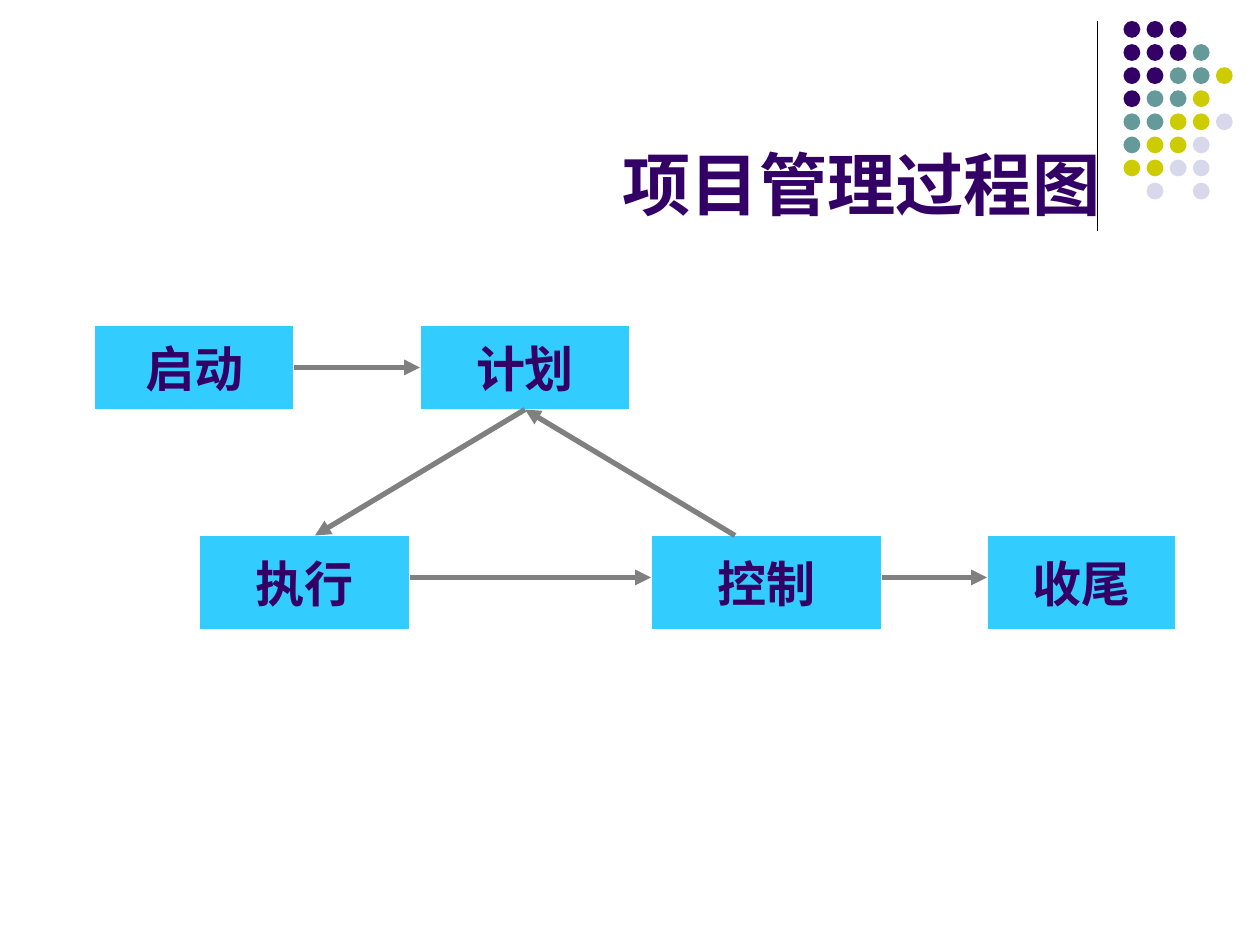
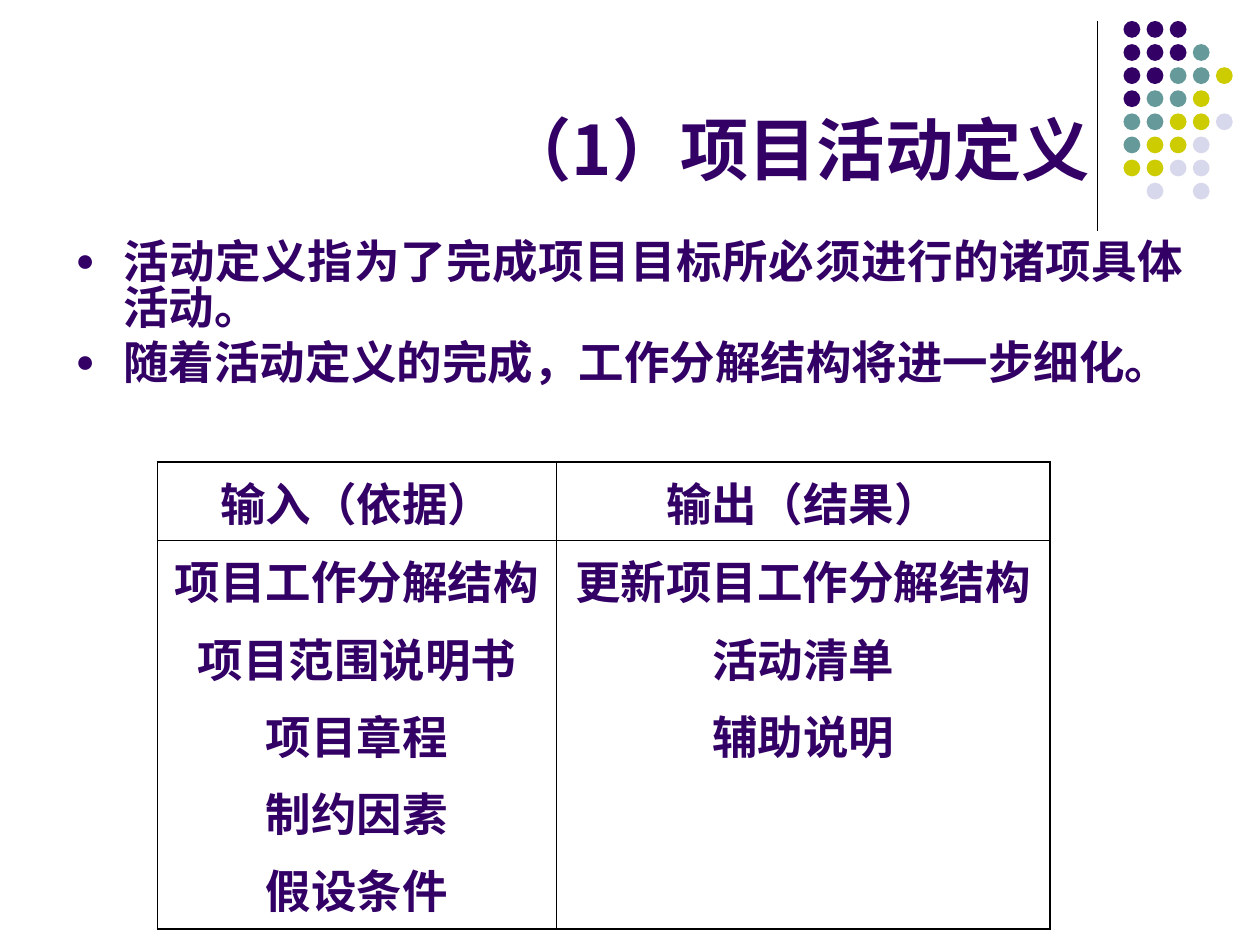
from dataclasses import dataclass
from typing import Any, Optional

from lxml.etree import SubElement
from pptx import Presentation
from pptx.dml.color import RGBColor
from pptx.enum.shapes import MSO_CONNECTOR, MSO_SHAPE
from pptx.enum.text import MSO_ANCHOR, MSO_AUTO_SIZE, PP_ALIGN
from pptx.oxml import parse_xml
from pptx.oxml.ns import nsdecls, qn
from pptx.util import Inches, Pt

COLS, ROWS = 120, 90
WIDE, HIGH = Inches(10), Inches(7.5)
INK, CYAN, GREY, BLACK, WHITE = "330066", "33CCFF", "808080", "000000", "FFFFFF"
TINTS = {"P": INK, "T": "669999", "Y": "CCCC00", "L": "D8D8EC"}
DOTS = ("PPP", "PPPT", "PPTTY", "PTTY", "TTYYL", "TYYL", "YYLL", " L L")
DOT_SIZE, DOT_STEP = 1.6, 2.2


@dataclass(frozen=True)
class Area:
    col: float
    row: float
    wide: float
    high: float

    def place(self) -> tuple[int, int, int, int]:
        return across(self.col), down(self.row), across(self.wide), down(self.high)


@dataclass(frozen=True)
class Step:
    text: str
    area: Area


@dataclass(frozen=True)
class Link:
    start: tuple[float, float]
    end: tuple[float, float]
    source: Optional[tuple[str, int]] = None
    target: Optional[tuple[str, int]] = None


STEPS = (
    Step("启动", Area(9, 31, 19, 8)),
    Step("计划", Area(40, 31, 20, 8)),
    Step("执行", Area(19, 51, 20, 9)),
    Step("控制", Area(62, 51, 22, 9)),
    Step("收尾", Area(94, 51, 18, 9)),
)
LINKS = (
    Link((28, 35), (40, 35), ("启动", 3), ("计划", 1)),
    Link((50, 39), (30, 51), ("计划", 2)),
    Link((39, 55), (62, 55)),
    Link((70, 51), (50, 39), None, ("计划", 2)),
    Link((84, 55), (94, 55)),
)
POINTS = (
    "活动定义指为了完成项目目标所必须进行的诸项具体活动。",
    "随着活动定义的完成，工作分解结构将进一步细化。",
)
CELLS = (
    (("输入（依据）",), ("输出（结果）",)),
    (
        ("项目工作分解结构", "项目范围说明书", "项目章程", "制约因素", "假设条件"),
        ("更新项目工作分解结构", "活动清单", "辅助说明"),
    ),
)
SPANS, TIERS = (38, 47), (7.4, 37)


def across(cols: float) -> int:
    return round(WIDE * cols / COLS)


def down(rows: float) -> int:
    return round(HIGH * rows / ROWS)


def paint(code: str) -> RGBColor:
    return RGBColor.from_string(code)


def apply(thing: Any, form: dict[str, Any]) -> None:
    for name, value in form.items():
        setattr(thing, name, value)


def write(frame: Any, lines: tuple[str, ...], size: float, align: Any,
          gap: float = 0, face: str = "Arial", mark: bool = False,
          lead: Optional[float] = None) -> None:
    for place, text in enumerate(lines):
        para = frame.paragraphs[0] if place == 0 else frame.add_paragraph()
        if mark:
            add_mark(para)
        apply(para, {"text": text, "alignment": align, "line_spacing": lead,
                     "space_before": Pt(gap if place else 0)})
        for run in para.runs:
            apply(run.font, {"name": face, "size": Pt(size), "bold": True})
            run.font.color.rgb = paint(INK)


def add_mark(para: Any) -> None:
    props = para._p.get_or_add_pPr()
    indent = str(Inches(0.38))
    props.set("marL", indent)
    props.set("indent", "-" + indent)
    tint = SubElement(props, qn("a:buClr"))
    SubElement(tint, qn("a:srgbClr"), val=INK)
    SubElement(props, qn("a:buSzPct"), val="70000")
    SubElement(props, qn("a:buFont"), typeface="Arial")
    SubElement(props, qn("a:buChar"), char="●")


def add_line(slide: Any, start: tuple[float, float], end: tuple[float, float],
             code: str, width: float) -> Any:
    line = slide.shapes.add_connector(
        MSO_CONNECTOR.STRAIGHT, across(start[0]), down(start[1]),
        across(end[0]), down(end[1]))
    line.line.color.rgb = paint(code)
    line.line.width = Pt(width)
    SubElement(line.element.spPr, qn("a:effectLst"))
    return line


def add_dots(slide: Any) -> None:
    group = slide.shapes.add_group_shape()
    for row, codes in enumerate(DOTS):
        for col, code in enumerate(codes):
            if code in TINTS:
                area = Area(107 + col * DOT_STEP, 2 + row * DOT_STEP,
                            DOT_SIZE, DOT_SIZE)
                dot = group.shapes.add_shape(MSO_SHAPE.OVAL, *area.place())
                dot.shadow.inherit = False
                dot.fill.solid()
                dot.fill.fore_color.rgb = paint(TINTS[code])
                dot.line.fill.background()


def fit(holder: Any, area: Area, anchor: Any) -> Any:
    apply(holder, dict(zip(("left", "top", "width", "height"), area.place())))
    apply(holder.text_frame, {"auto_size": MSO_AUTO_SIZE.NONE, "word_wrap": True,
                              "vertical_anchor": anchor})
    return holder.text_frame


def add_slide(deck: Any, kind: int, title: str, area: Area, face: str) -> Any:
    slide = deck.slides.add_slide(deck.slide_layouts[kind])
    add_line(slide, (104.5, 2), (104.5, 22), BLACK, 0.75)
    add_dots(slide)
    frame = fit(slide.shapes.title, area, MSO_ANCHOR.BOTTOM)
    write(frame, (title,), 39, PP_ALIGN.RIGHT, face=face)
    return slide


def add_step(slide: Any, step: Step) -> Any:
    box = slide.shapes.add_shape(MSO_SHAPE.RECTANGLE, *step.area.place())
    box.shadow.inherit = False
    box.fill.solid()
    box.fill.fore_color.rgb = paint(CYAN)
    box.line.color.rgb = paint(WHITE)
    box.line.width = Pt(0.75)
    apply(box.text_frame, {"word_wrap": False, "vertical_anchor": MSO_ANCHOR.MIDDLE})
    write(box.text_frame, (step.text,), 28, PP_ALIGN.CENTER)
    return box


def add_link(slide: Any, link: Link, boxes: dict[str, Any]) -> None:
    line = add_line(slide, link.start, link.end, GREY, 3)
    SubElement(line.element.spPr.get_or_add_ln(), qn("a:tailEnd"), type="triangle")
    if link.source:
        line.begin_connect(boxes[link.source[0]], link.source[1])
    if link.target:
        line.end_connect(boxes[link.target[0]], link.target[1])


def edge(cell: Any, widths: dict[str, float]) -> None:
    props = cell._tc.get_or_add_tcPr()
    for place, (side, width) in enumerate(widths.items()):
        props.insert(place, parse_xml(
            f'<a:ln{side} {nsdecls("a")} w="{Pt(width)}"><a:solidFill>'
            f'<a:srgbClr val="{BLACK}"/></a:solidFill></a:ln{side}>'))


def add_grid(slide: Any) -> None:
    area = Area(15, 44, sum(SPANS), sum(TIERS))
    grid = slide.shapes.add_table(len(TIERS), len(SPANS), *area.place()).table
    apply(grid, {"first_row": False, "horz_banding": False})
    for col, span in enumerate(SPANS):
        grid.columns[col].width = across(span)
    thick, thin = 1.08, 0.45
    for row, tier in enumerate(TIERS):
        grid.rows[row].height = down(tier)
        for col, lines in enumerate(CELLS[row]):
            cell = grid.cell(row, col)
            cell.fill.background()
            edge(cell, {
                "L": thick if col == 0 else thin,
                "R": thick if col == len(SPANS) - 1 else thin,
                "T": thick if row == 0 else thin,
                "B": thick if row == len(TIERS) - 1 else thin,
            })
            write(cell.text_frame, lines, 26, PP_ALIGN.CENTER, gap=6.5)


def draw_flow(deck: Any) -> None:
    slide = add_slide(deck, 5, "项目管理过程图", Area(7, 5, 99, 17), "Arial")
    boxes = {step.text: add_step(slide, step) for step in STEPS}
    for link in LINKS:
        add_link(slide, link, boxes)


def draw_tasks(deck: Any) -> None:
    slide = add_slide(deck, 1, "（1）项目活动定义", Area(6, 1.6, 99, 17),
                      "Noto Sans CJK JP")
    frame = fit(slide.placeholders[1], Area(6, 22.5, 108, 19.5), MSO_ANCHOR.TOP)
    write(frame, POINTS, 26, PP_ALIGN.JUSTIFY, gap=6, mark=True, lead=0.83)
    add_grid(slide)


def main() -> None:
    deck = Presentation()
    apply(deck, {"slide_width": WIDE, "slide_height": HIGH})
    draw_flow(deck)
    draw_tasks(deck)
    deck.save("out.pptx")


if __name__ == "__main__":
    main()
